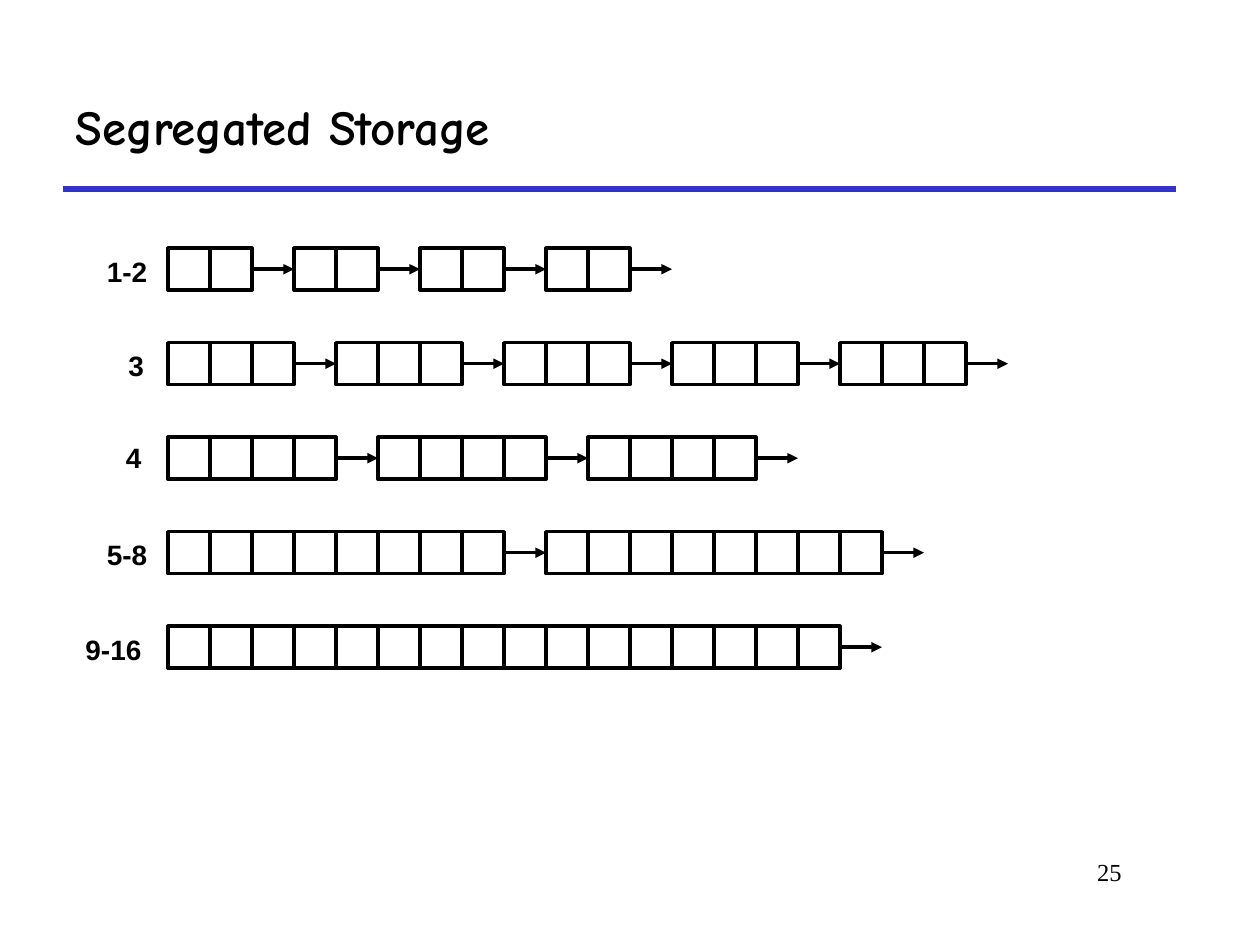
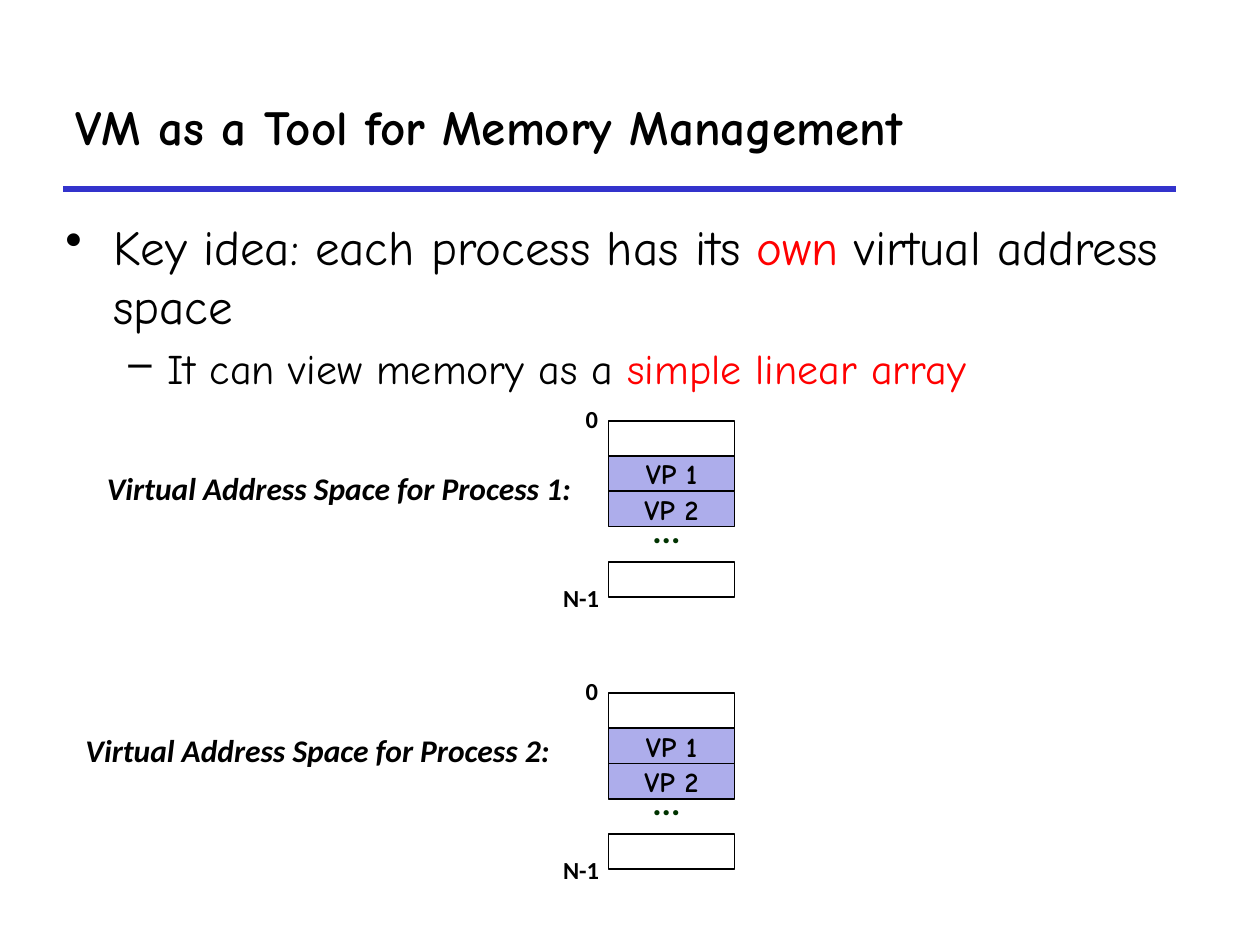
from itertools import pairwise
from lxml import etree
from pptx import Presentation
from pptx import util as u
from pptx.dml.color import RGBColor
from pptx.enum import shapes, text
from pptx.oxml import ns

INK = {"black": "000000", "white": "FFFFFF", "blue": "3333CC",
       "lilac": "ADADEB", "red": "FF0000", "green": "003300"}
COMIC, SANS, BODY, SERIF = "Comic Neue", "Arial", "Calibri", "Times New Roman"

LISTS = [
    {"name": "1-2", "size": 2, "count": 4, "at": (0.75, 1.97)},
    {"name": "3", "size": 3, "count": 5, "at": (0.92, 2.72)},
    {"name": "4", "size": 4, "count": 3, "at": (0.9, 3.45)},
    {"name": "5-8", "size": 8, "count": 2, "at": (0.75, 4.22)},
    {"name": "9-16", "size": 16, "count": 1, "at": (0.58, 4.97)},
]
CELL, LEFT, TOP, STEP = 1 / 3, 4 / 3, 1.97, 0.75

IDEAS = [
    {"mark": "•", "size": 28, "left": 0.38, "hang": 0.38, "gap": 0,
     "runs": [("Key idea: each process has its ", "black"), ("own", "red"),
              (" virtual address space", "black")]},
    {"mark": "–", "size": 24, "left": 0.81, "hang": 0.31, "gap": 4.8,
     "runs": [("It can view memory as a ", "black"),
              ("simple linear array", "red")]},
]
SPACES = [
    {"name": "Virtual Address Space for Process 1:", "at": (0.75, 3.69), "top": 3.34},
    {"name": "Virtual Address Space for Process 2:", "at": (0.58, 5.77), "top": 5.5},
]
PAGES = [(0, ""), (1, "VP 1"), (2, "VP 2"), (4, "")]
SLOT, STACK = 0.28, 4.83


def color(name):
    return RGBColor.from_string(INK[name])


def style(run, size, face, ink="black", bold=False, slant=False):
    font = run.font
    font.size, font.name = u.Pt(size), face
    font.bold, font.italic = bold, slant
    font.color.rgb = color(ink)


def label(slide, words, x, y, w, h, size, face, wrap=False, space=None,
          align=text.PP_ALIGN.LEFT, **look):
    box = slide.shapes.add_textbox(*map(u.Inches, (x, y, w, h)))
    frame = box.text_frame
    frame.word_wrap = wrap
    frame.text = words
    par = frame.paragraphs[0]
    par.alignment = align
    if space:
        par.line_spacing = space
    style(par.runs[0], size, face, **look)


def rect(slide, x, y, w, h, width, fill=None):
    box = slide.shapes.add_shape(shapes.MSO_SHAPE.RECTANGLE,
                                 *map(u.Inches, (x, y, w, h)))
    box.shadow.inherit = False
    if fill:
        box.fill.solid()
        box.fill.fore_color.rgb = color(fill)
    else:
        box.fill.background()
    box.line.color.rgb = color("black")
    box.line.width = u.Pt(width)
    return box


def line(slide, x1, y1, x2, y2, width, ink="black", arrow=False):
    rule = slide.shapes.add_connector(shapes.MSO_CONNECTOR.STRAIGHT,
                                      *map(u.Inches, (x1, y1, x2, y2)))
    rule.line.color.rgb = color(ink)
    rule.line.width = u.Pt(width)
    if arrow:
        tail = etree.SubElement(rule.line._get_or_add_ln(), ns.qn("a:tailEnd"))
        tail.set("type", "triangle")
    etree.SubElement(rule._element.spPr, ns.qn("a:effectLst"))
    return rule


def start(deck, words, width):
    slide = deck.slides.add_slide(deck.slide_layouts[5])
    line(slide, 0.5, 1.5, 9.33, 1.5, 3, "blue")
    title = slide.shapes.title
    title.left, title.top, title.width, title.height = map(
        u.Inches, (0.5, 0.5, width, 1))
    frame = title.text_frame
    frame.text = words
    frame.auto_size = text.MSO_AUTO_SIZE.NONE
    frame.vertical_anchor = text.MSO_ANCHOR.MIDDLE
    par = frame.paragraphs[0]
    par.alignment = text.PP_ALIGN.LEFT
    style(par.runs[0], 28, COMIC, bold=True)
    return slide


def chain(slide, row, y):
    size, pitch = row["size"], (row["size"] + 1) * CELL
    blocks = [[rect(slide, LEFT + b * pitch + c * CELL, y, CELL, CELL, 2, "white")
               for c in range(size)] for b in range(row["count"])]
    mid = y + CELL / 2
    ends = blocks + [None]
    for b, (block, after) in enumerate(pairwise(ends)):
        x = LEFT + b * pitch + size * CELL
        link = line(slide, x, mid, x + CELL, mid, 2, arrow=True)
        link.begin_connect(block[-1], 3)
        if after:
            link.end_connect(after[0], 1)
    label(slide, row["name"], *row["at"], 0.25 + 0.1 * len(row["name"]), 0.37,
          16, SANS, bold=True)


def ideas(slide):
    box = slide.shapes.add_textbox(*map(u.Inches, (0.42, 1.67, 9, 1.75)))
    frame = box.text_frame
    frame.word_wrap = True
    for i, idea in enumerate(IDEAS):
        par = frame.add_paragraph() if i else frame.paragraphs[0]
        props = par._p.get_or_add_pPr()
        props.set("marL", str(u.Inches(idea["left"])))
        props.set("indent", str(-u.Inches(idea["hang"])))
        etree.SubElement(props, ns.qn("a:buChar")).set("char", idea["mark"])
        par.space_before = u.Pt(idea["gap"])
        for words, ink in idea["runs"]:
            run = par.add_run()
            run.text = words
            style(run, idea["size"], COMIC, ink)


def space(slide, item):
    top = item["top"]
    label(slide, item["name"], *item["at"], 4.06, 0.39, 18, BODY,
          space=0.98, bold=True, slant=True)
    label(slide, "0", 4.55, top - 0.17, 0.31, 0.33, 14, BODY, space=0.98, bold=True)
    label(slide, "N-1", 4.37, top + 1.25, 0.49, 0.33, 14, BODY, space=0.98, bold=True)
    for slot, name in PAGES:
        page = rect(slide, STACK, top + slot * SLOT, 1, SLOT, 1,
                    "lilac" if name else None)
        if name:
            frame = page.text_frame
            frame.text = name
            frame.vertical_anchor = text.MSO_ANCHOR.MIDDLE
            frame.paragraphs[0].alignment = text.PP_ALIGN.CENTER
            style(frame.paragraphs[0].runs[0], 16, COMIC, bold=True)
    label(slide, "...", 5.08, top + 0.69, 0.47, 0.39, 20, BODY,
          space=0.88, ink="green", bold=True)


def main():
    deck = Presentation()
    deck.slide_width, deck.slide_height = u.Inches(10), u.Inches(7.5)
    slide = start(deck, "Segregated Storage", 8.83)
    for i, row in enumerate(LISTS):
        chain(slide, row, TOP + i * STEP)
    label(slide, "25", 7.58, 6.75, 1.42, 0.5, 14, SERIF, wrap=True,
          align=text.PP_ALIGN.RIGHT)
    slide = start(deck, "VM as a Tool for Memory Management", 9.42)
    ideas(slide)
    for item in SPACES:
        space(slide, item)
    deck.save("out.pptx")


if __name__ == "__main__":
    main()
